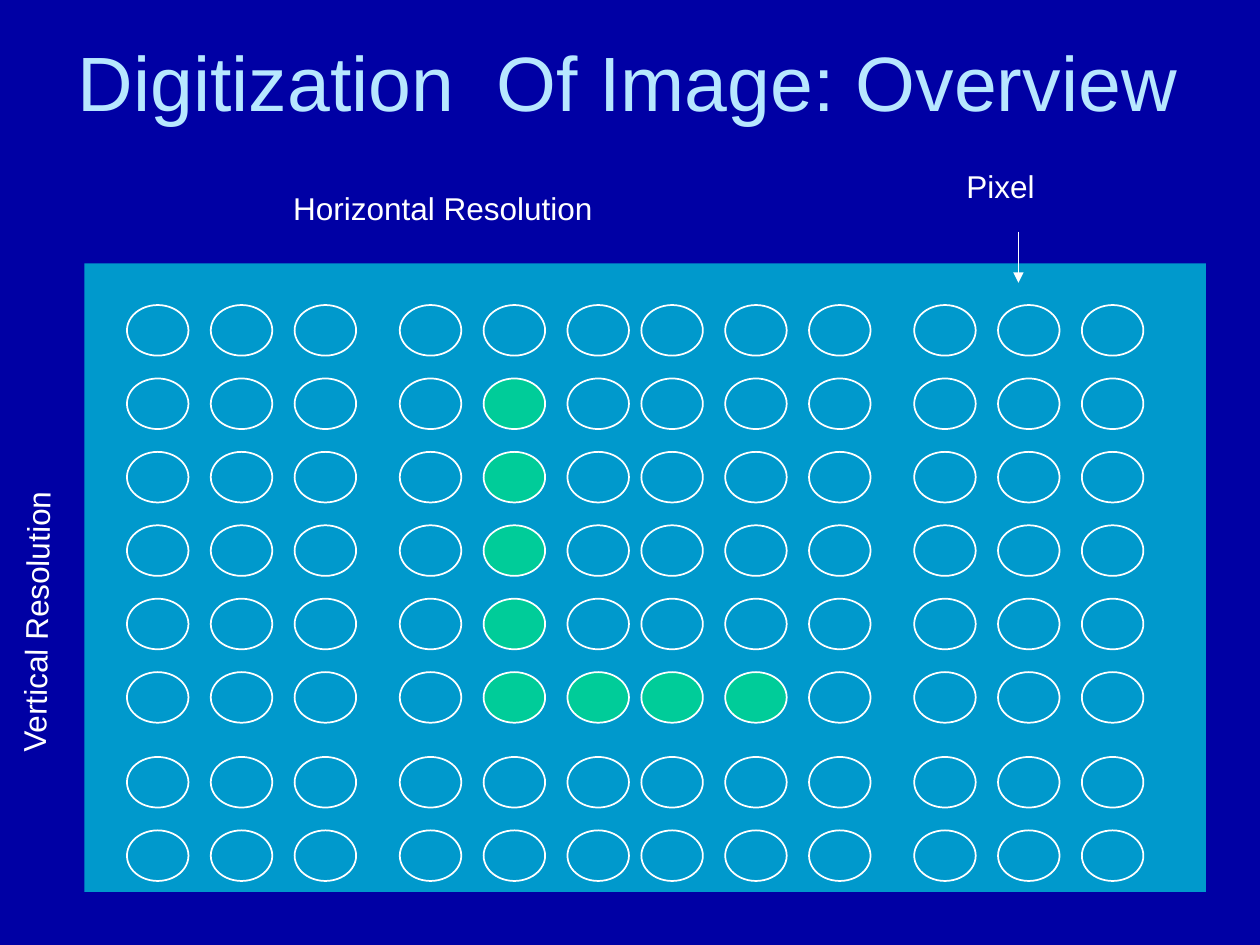
from dataclasses import dataclass
from itertools import product

from lxml.etree import SubElement
from pptx import Presentation
from pptx.dml.color import RGBColor
from pptx.enum.shapes import MSO_CONNECTOR, MSO_SHAPE
from pptx.enum.text import MSO_ANCHOR, MSO_AUTO_SIZE, PP_ALIGN
from pptx.oxml.ns import qn
from pptx.slide import Slide
from pptx.util import Cm, Pt


@dataclass(frozen=True)
class Theme:
    font: str = "Arial"
    background: RGBColor = RGBColor(0x00, 0x00, 0xA4)
    title: RGBColor = RGBColor(0xB7, 0xE7, 0xFF)
    screen: RGBColor = RGBColor(0x00, 0x99, 0xCC)
    lit: RGBColor = RGBColor(0x00, 0xCC, 0x99)
    white: RGBColor = RGBColor(0xFF, 0xFF, 0xFF)
    title_size: Pt = Pt(44)
    label_size: Pt = Pt(18)
    line_width: Pt = Pt(1)


@dataclass(frozen=True)
class Label:
    text: str
    left: float
    top: float
    width: float
    rotation: float = 0


THEME = Theme()
LABEL_HEIGHT = 1.27
LABELS = (
    Label("Pixel", 19.23, 3.25, 2.36),
    Label("Horizontal Resolution", 5.66, 3.68, 8.81),
    Label("Vertical Resolution", -2.97, 10.95, 7.67, rotation=271),
)

PIXEL_WIDTH, PIXEL_HEIGHT = 1.24, 1.02
COLUMN_STEP, ROW_STEP = 1.69, 1.48
COLUMN_GROUPS = ((2.56, 3), (8.06, 3), (12.93, 3), (18.43, 3))
ROW_GROUPS = ((6.15, 6), (15.26, 2))
# The letter L as (row, column) pairs
LIT_PIXELS = {(row, 4) for row in range(1, 6)} | {(5, column) for column in range(5, 8)}


def grid_positions(groups: tuple[tuple[float, int], ...], step: float) -> list[float]:
    """Positions of evenly spaced items in groups of (start, count)."""
    return [start + index * step for start, count in groups for index in range(count)]


def add_title(slide: Slide, text: str) -> None:
    title = slide.shapes.title
    title.left, title.top, title.width, title.height = Cm(0.84), Cm(0.64), Cm(23.65), Cm(3.68)
    frame = title.text_frame
    frame.text = text
    frame.auto_size = MSO_AUTO_SIZE.NONE
    frame.vertical_anchor = MSO_ANCHOR.TOP
    frame.margin_top = Cm(0.05)
    paragraph = frame.paragraphs[0]
    paragraph.alignment = PP_ALIGN.CENTER
    paragraph.font.name = THEME.font
    paragraph.font.size = THEME.title_size
    paragraph.font.color.rgb = THEME.title


def add_screen(slide: Slide) -> None:
    screen = slide.shapes.add_shape(
        MSO_SHAPE.RECTANGLE, Cm(1.7), Cm(5.31), Cm(22.61), Cm(12.67)
    )
    screen.shadow.inherit = False
    screen.fill.solid()
    screen.fill.fore_color.rgb = THEME.screen
    screen.line.fill.background()


def add_pixel(slide: Slide, left: float, top: float, lit: bool) -> None:
    pixel = slide.shapes.add_shape(
        MSO_SHAPE.OVAL, Cm(left), Cm(top), Cm(PIXEL_WIDTH), Cm(PIXEL_HEIGHT)
    )
    pixel.shadow.inherit = False
    if lit:
        pixel.fill.solid()
        pixel.fill.fore_color.rgb = THEME.lit
    else:
        pixel.fill.background()
    pixel.line.color.rgb = THEME.white
    pixel.line.width = THEME.line_width


def add_label(slide: Slide, label: Label) -> None:
    box = slide.shapes.add_textbox(
        Cm(label.left), Cm(label.top), Cm(label.width), Cm(LABEL_HEIGHT)
    )
    box.rotation = label.rotation
    frame = box.text_frame
    frame.word_wrap = True
    frame.text = label.text
    paragraph = frame.paragraphs[0]
    paragraph.font.name = THEME.font
    paragraph.font.size = THEME.label_size
    paragraph.font.color.rgb = THEME.white


def add_pixel_arrow(slide: Slide) -> None:
    arrow = slide.shapes.add_connector(
        MSO_CONNECTOR.STRAIGHT, Cm(20.53), Cm(4.67), Cm(20.53), Cm(5.7)
    )
    arrow.line.color.rgb = THEME.white
    arrow.line.width = THEME.line_width
    properties = arrow.element.spPr
    SubElement(properties.find(qn("a:ln")), qn("a:tailEnd"), type="triangle")
    SubElement(properties, qn("a:effectLst"))


def main() -> None:
    presentation = Presentation()
    presentation.slide_width, presentation.slide_height = Cm(25.4), Cm(19.05)
    slide = presentation.slides.add_slide(presentation.slide_layouts.get_by_name("Title Only"))
    slide.background.fill.solid()
    slide.background.fill.fore_color.rgb = THEME.background

    add_title(slide, "Digitization  Of Image: Overview")
    add_screen(slide)
    columns = enumerate(grid_positions(COLUMN_GROUPS, COLUMN_STEP))
    rows = enumerate(grid_positions(ROW_GROUPS, ROW_STEP))
    for (column, left), (row, top) in product(columns, rows):
        add_pixel(slide, left, top, (row, column) in LIT_PIXELS)
    for label in LABELS:
        add_label(slide, label)
    add_pixel_arrow(slide)

    presentation.save("out.pptx")


if __name__ == "__main__":
    main()
